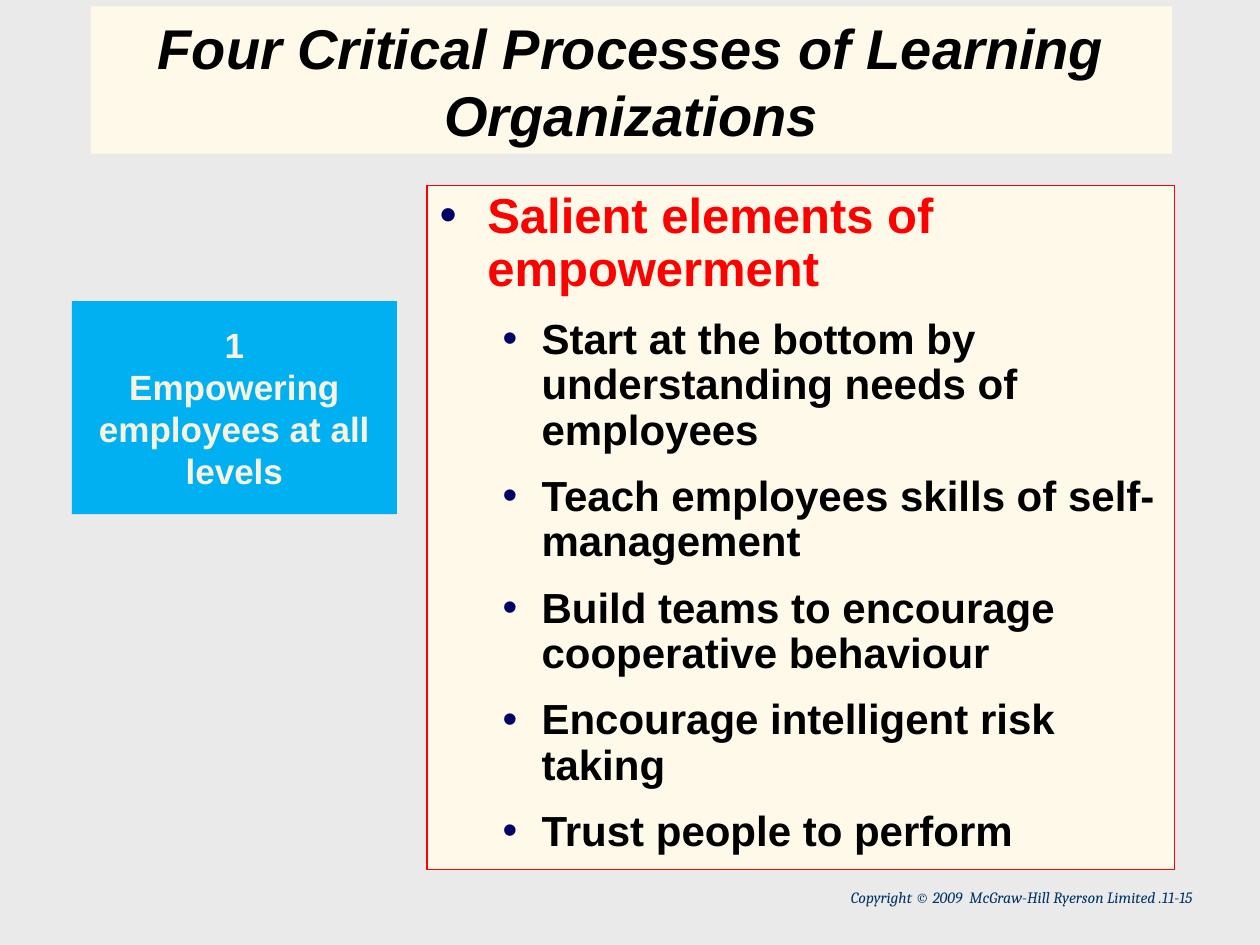
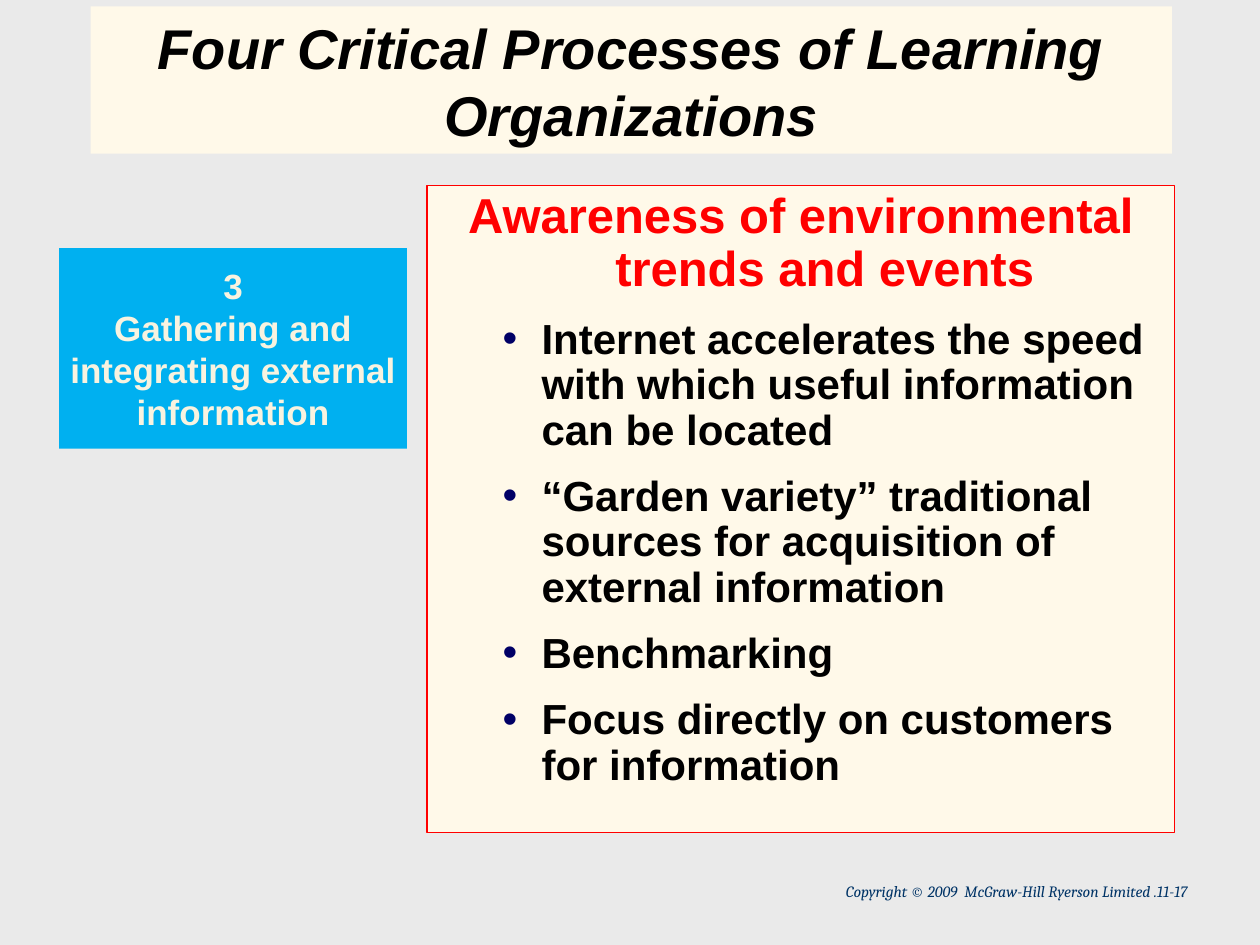
from dataclasses import dataclass

from lxml import etree
from pptx import Presentation
from pptx.dml.color import RGBColor
from pptx.enum.shapes import MSO_SHAPE
from pptx.enum.text import MSO_ANCHOR, PP_ALIGN
from pptx.oxml.ns import qn
from pptx.util import Inches, Pt

RECT = MSO_SHAPE.RECTANGLE
TOP, MIDDLE, BOTTOM = MSO_ANCHOR.TOP, MSO_ANCHOR.MIDDLE, MSO_ANCHOR.BOTTOM
LEFT, CENTER, RIGHT = PP_ALIGN.LEFT, PP_ALIGN.CENTER, PP_ALIGN.RIGHT

WIDTH, HEIGHT = Inches(10), Inches(7.5)
COLS, ROWS = 100, 75


@dataclass(frozen=True)
class Theme:
    back: str = "EAEAEA"
    cream: str = "FFF9E9"
    ink: str = "000000"
    red: str = "FF0000"
    blue: str = "00B0F0"
    pale: str = "F8F3E0"
    navy: str = "000066"
    note: str = "003366"
    sans: str = "Arial"
    serif: str = "Cambria"
    title_size: int = 32
    head_size: int = 28
    point_size: int = 24
    step_size: int = 20
    note_size: int = 9


THEME = Theme()

TITLE = "Four Critical Processes of Learning Organizations"
TITLE_BOX = (7.2, 0.5, 85.8, 11.7)
PANEL_LEFT, PANEL_TOP, PANEL_WIDTH = 33.9, 14.7, 59.3
NOTE_SIZE = (45.8, 2.7)

# Boxes are (column, row, columns, rows) on the slide grid.
SLIDES = [
    {
        "step": ["1", "Empowering employees at all levels"],
        "step_box": (5.7, 23.9, 25.8, 16.9),
        "head": "Salient elements of empowerment",
        "head_bullet": True,
        "points": [
            "Start at the bottom by understanding needs of employees",
            "Teach employees skills of self-management",
            "Build teams to encourage cooperative behaviour",
            "Encourage intelligent risk taking",
            "Trust people to perform",
        ],
        "panel_rows": 54.3,
        "note": "Copyright © 2009  McGraw-Hill Ryerson Limited .11-15",
        "note_at": (49.8, 70),
    },
    {
        "step": ["3", "Gathering and integrating external information"],
        "step_box": (4.7, 19.7, 27.6, 15.9),
        "head": "Awareness of environmental trends and events",
        "head_bullet": False,
        "points": [
            "Internet accelerates the speed with which useful information "
            "can be located",
            "“Garden variety” traditional sources for acquisition of "
            "external information",
            "Benchmarking",
            "Focus directly on customers for information",
        ],
        "panel_rows": 51.4,
        "note": "Copyright © 2009  McGraw-Hill Ryerson Limited .11-17",
        "note_at": (49.4, 69.5),
    },
]


def rgb(code):
    return RGBColor.from_string(code)


def place(box):
    """Turn grid units into slide lengths."""
    col, row, cols, rows = box
    return (int(col * WIDTH / COLS), int(row * HEIGHT / ROWS),
            int(cols * WIDTH / COLS), int(rows * HEIGHT / ROWS))


def add_block(slide, box, fill, anchor, line=None):
    block = slide.shapes.add_shape(RECT, *place(box))
    block.shadow.inherit = False
    block.fill.solid()
    block.fill.fore_color.rgb = rgb(fill)
    if line:
        block.line.color.rgb = rgb(line)
        block.line.width = Pt(0.75)
    else:
        block.line.fill.background()
    frame = block.text_frame
    frame.word_wrap = True
    frame.vertical_anchor = anchor
    return frame


def style(para, size, color, align, face=THEME.sans, bold=True, italic=False):
    para.alignment = align
    for run in para.runs:
        font = run.font
        font.name, font.size = face, Pt(size)
        font.bold, font.italic = bold, italic
        font.color.rgb = rgb(color)


def indent(para, left, hang, bullet):
    """Hang the first line, with a navy dot if bullet is set."""
    props = para._p.get_or_add_pPr()
    props.set("marL", str(Inches(left)))
    props.set("indent", str(-Inches(hang)))
    if bullet:
        tint = etree.SubElement(props, qn("a:buClr"))
        etree.SubElement(tint, qn("a:srgbClr")).set("val", THEME.navy)
        etree.SubElement(props, qn("a:buFont")).set("typeface", THEME.sans)
        etree.SubElement(props, qn("a:buChar")).set("char", "•")
    else:
        etree.SubElement(props, qn("a:buNone"))


def add_title(slide, box):
    frame = add_block(slide, box, THEME.cream, BOTTOM)
    frame.text = TITLE
    style(frame.paragraphs[0], THEME.title_size, THEME.ink, CENTER,
          italic=True)


def add_panel(slide, box, head, head_bullet, points):
    frame = add_block(slide, box, THEME.cream, TOP, THEME.red)
    frame.text = "\n".join([head, *points])
    first, *rest = frame.paragraphs
    indent(first, 0.38, 0.38, head_bullet)
    style(first, THEME.head_size, THEME.red, LEFT if head_bullet else CENTER)
    first.line_spacing = 0.9
    for para in rest:
        para.level = 1
        indent(para, 0.81, 0.31, True)
        style(para, THEME.point_size, THEME.ink, LEFT)
        para.line_spacing = 0.9
        para.space_before = Pt(12)


def add_step(slide, box, lines):
    frame = add_block(slide, box, THEME.blue, MIDDLE)
    frame.margin_left = frame.margin_right = 0
    frame.margin_top = frame.margin_bottom = 0
    frame.text = "\n".join(lines)
    for para in frame.paragraphs:
        style(para, THEME.step_size, THEME.pale, CENTER)


def add_note(slide, box, text):
    frame = slide.shapes.add_textbox(*place(box)).text_frame
    frame.word_wrap = True
    frame.text = text
    style(frame.paragraphs[0], THEME.note_size, THEME.note, RIGHT,
          THEME.serif, bold=False, italic=True)


def add_process(deck, data):
    slide = deck.slides.add_slide(deck.slide_layouts[6])
    slide.background.fill.solid()
    slide.background.fill.fore_color.rgb = rgb(THEME.back)
    add_title(slide, TITLE_BOX)
    panel = (PANEL_LEFT, PANEL_TOP, PANEL_WIDTH, data["panel_rows"])
    add_panel(slide, panel, data["head"], data["head_bullet"], data["points"])
    add_step(slide, data["step_box"], data["step"])
    add_note(slide, data["note_at"] + NOTE_SIZE, data["note"])


def main():
    deck = Presentation()
    deck.slide_width, deck.slide_height = WIDTH, HEIGHT
    for data in SLIDES:
        add_process(deck, data)
    deck.save("out.pptx")


if __name__ == "__main__":
    main()
